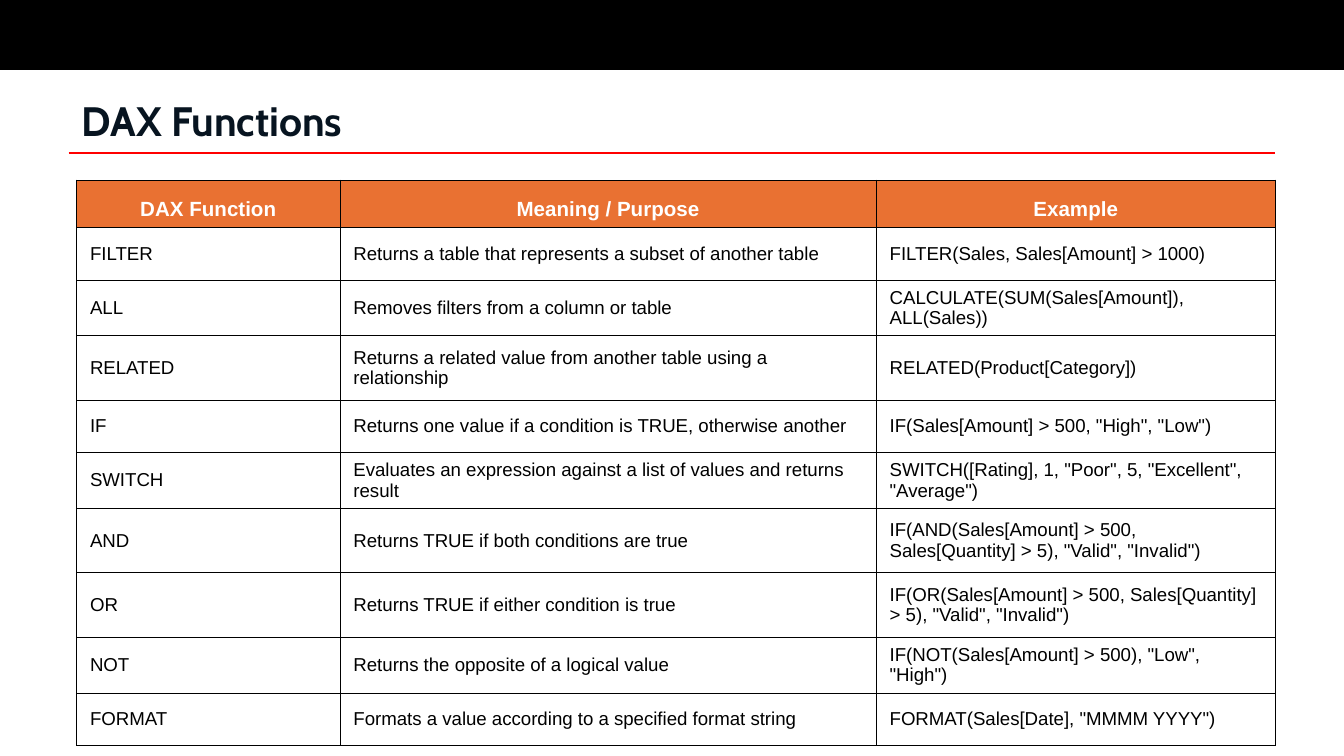
from dataclasses import dataclass

from lxml import etree
from pptx import Presentation
from pptx import util as u
from pptx.dml.color import RGBColor
from pptx.enum import shapes, text
from pptx.oxml import ns


@dataclass(frozen=True)
class Theme:
    black: str = "000000"
    white: str = "FFFFFF"
    ink: str = "071420"
    rule: str = "FF0000"
    header: str = "E97132"
    title_font: str = "Cabin"
    body_font: str = "Arial"
    title_size: float = 22
    header_size: float = 11
    body_size: float = 10
    border: float = 0.5
    cell_margin: float = 0.04


THEME = Theme()
COLUMNS = (1.96, 3.99, 2.97)
ROW_HEIGHTS = (0.21, 0.39, 0.3, 0.48, 0.39, 0.39, 0.48, 0.48, 0.3, 0.39)
HEADINGS = ("DAX Function", "Meaning / Purpose", "Example")
FUNCTIONS = (
    ("FILTER", "Returns a table that represents a subset of another table",
     "FILTER(Sales, Sales[Amount] > 1000)"),
    ("ALL", "Removes filters from a column or table",
     "CALCULATE(SUM(Sales[Amount]), ALL(Sales))"),
    ("RELATED", "Returns a related value from another table using a relationship",
     "RELATED(Product[Category])"),
    ("IF", "Returns one value if a condition is TRUE, otherwise another",
     'IF(Sales[Amount] > 500, "High", "Low")'),
    ("SWITCH", "Evaluates an expression against a list of values and returns result",
     'SWITCH([Rating], 1, "Poor", 5, "Excellent", "Average")'),
    ("AND", "Returns TRUE if both conditions are true",
     'IF(AND(Sales[Amount] > 500, Sales[Quantity] > 5), "Valid", "Invalid")'),
    ("OR", "Returns TRUE if either condition is true",
     'IF(OR(Sales[Amount] > 500, Sales[Quantity] > 5), "Valid", "Invalid")'),
    ("NOT", "Returns the opposite of a logical value",
     'IF(NOT(Sales[Amount] > 500), "Low", "High")'),
    ("FORMAT", "Formats a value according to a specified format string",
     'FORMAT(Sales[Date], "MMMM YYYY")'),
)


def write(frame, words, *, size, color, font=THEME.body_font, bold=False,
          align=text.PP_ALIGN.LEFT, spacing=1.0, before=0):
    """Put one formatted paragraph into a text frame."""
    para = frame.paragraphs[0]
    para.alignment = align
    para.line_spacing = spacing
    para.space_before = u.Pt(before)
    span = para.add_run()
    span.text = words
    span.font.name = font
    span.font.size = u.Pt(size)
    span.font.bold = bold
    span.font.color.rgb = RGBColor.from_string(color)


def add_band(page, left, top, width, height):
    band = page.shapes.add_shape(
        shapes.MSO_SHAPE.RECTANGLE, *map(u.Inches, (left, top, width, height)))
    band.shadow.inherit = False
    band.fill.solid()
    band.fill.fore_color.rgb = RGBColor.from_string(THEME.black)
    band.line.fill.background()


def add_heading(page, words, left, top, width, height):
    """A title with a rule just under its box."""
    bottom = top + height + 0.01
    rule = page.shapes.add_connector(
        shapes.MSO_CONNECTOR.STRAIGHT,
        *map(u.Inches, (left, bottom, left + width, bottom)))
    rule.line.color.rgb = RGBColor.from_string(THEME.rule)
    rule.line.width = u.Pt(1)
    etree.SubElement(rule._element.spPr, ns.qn("a:effectLst"))

    box = page.shapes.add_textbox(*map(u.Inches, (left, top, width, height)))
    box.text_frame.word_wrap = True
    box.text_frame.vertical_anchor = text.MSO_ANCHOR.BOTTOM
    write(box.text_frame, words, size=THEME.title_size, color=THEME.ink,
          font=THEME.title_font, bold=True, spacing=0.9, before=10)


def add_borders(cell):
    props = cell._tc.get_or_add_tcPr()
    for side in ("lnL", "lnR", "lnT", "lnB"):
        line = etree.SubElement(props, ns.qn(f"a:{side}"), w=str(u.Pt(THEME.border)))
        fill = etree.SubElement(line, ns.qn("a:solidFill"))
        etree.SubElement(fill, ns.qn("a:srgbClr"), val=THEME.black)


def add_function_table(page, left, top, width, height):
    rows = (HEADINGS, *FUNCTIONS)
    table = page.shapes.add_table(
        len(rows), len(COLUMNS), *map(u.Inches, (left, top, width, height))).table
    table.first_row = table.horz_banding = False
    for column, size in zip(table.columns, COLUMNS):
        column.width = u.Inches(size)
    for row, size in zip(table.rows, ROW_HEIGHTS):
        row.height = u.Inches(size)

    for r, row in enumerate(rows):
        for c, words in enumerate(row):
            cell = table.cell(r, c)
            cell.vertical_anchor = text.MSO_ANCHOR.MIDDLE
            cell.margin_top = cell.margin_bottom = u.Inches(THEME.cell_margin)
            add_borders(cell)
            cell.fill.solid()
            if r == 0:
                cell.fill.fore_color.rgb = RGBColor.from_string(THEME.header)
                write(cell.text_frame, words, size=THEME.header_size,
                      color=THEME.white, bold=True,
                      align=text.PP_ALIGN.CENTER, spacing=1.5)
            else:
                cell.fill.fore_color.rgb = RGBColor.from_string(THEME.white)
                write(cell.text_frame, words, size=THEME.body_size, color=THEME.black)


def main():
    # Widescreen page, 16:9
    deck = Presentation()
    deck.slide_width = u.Inches(10)
    deck.slide_height = deck.slide_width * 9 // 16
    page = deck.slides.add_slide(deck.slide_layouts[6])

    # Top band, title with rule, table of functions
    add_band(page, 0, 0, 10, 0.52)
    add_heading(page, "DAX Functions", 0.51, 0.61, 8.98, 0.52)
    add_function_table(page, 0.57, 1.34, sum(COLUMNS), sum(ROW_HEIGHTS))
    deck.save("out.pptx")


if __name__ == "__main__":
    main()
